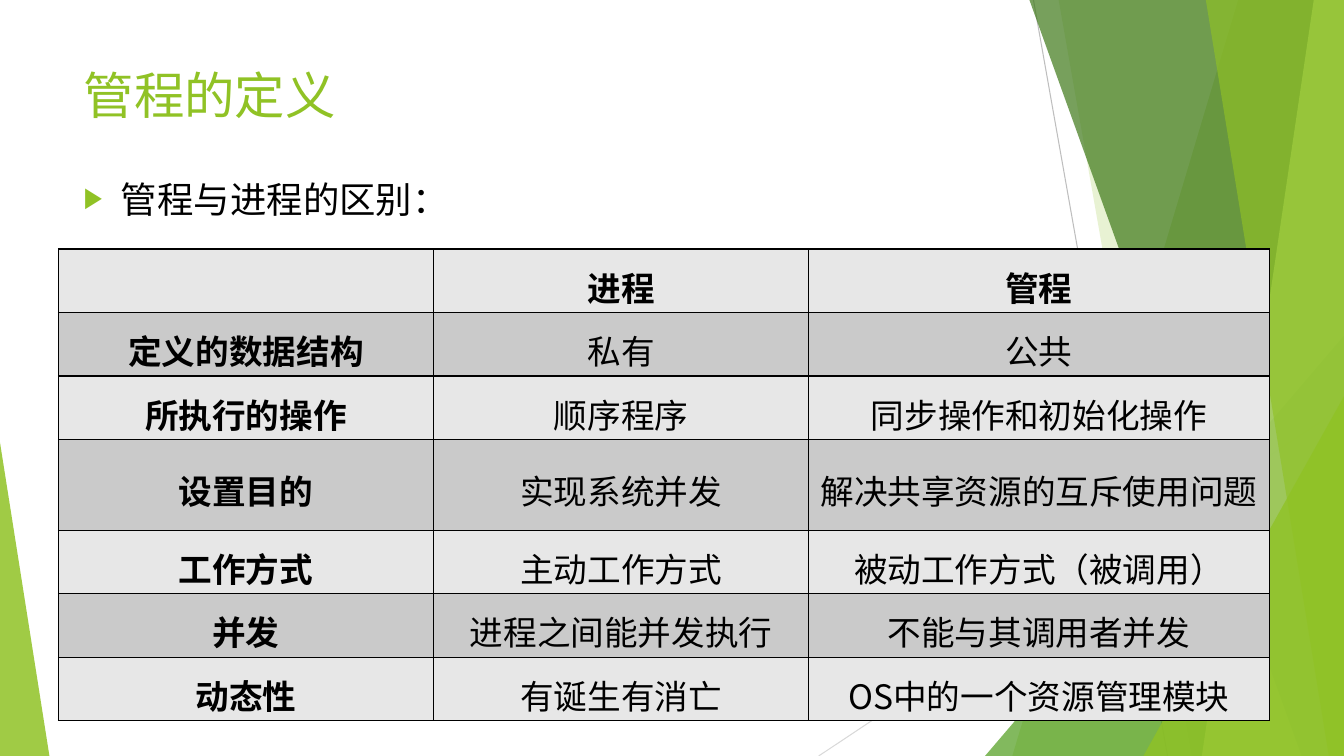
"""Build a slide that compares processes with monitors in a table."""
from dataclasses import dataclass

from lxml.etree import SubElement
from pptx import Presentation
from pptx.dml.color import RGBColor
from pptx.enum.shapes import MSO_CONNECTOR as Connector
from pptx.enum.text import MSO_ANCHOR as Anchor, PP_ALIGN as Align
from pptx.oxml.ns import qn
from pptx.util import Inches, Pt


@dataclass(frozen=True)
class Theme:
    font: str = "Noto Sans CJK SC"
    bullet_font: str = "Courier New"
    accent: str = "90C225"
    text: str = "000000"
    bands: tuple = ("E7E7E7", "CACACA")
    title_size: int = 36
    body_size: int = 26
    table_size: int = 24
    border: float = 1
    hairline: float = 0.75
    line_spacing: float = 0.9


THEME = Theme()
WIDTH, HEIGHT = 13.33, 7.5

TITLE = "管程的定义"
BULLET = "管程与进程的区别："
ROWS = [
    ("", "进程", "管程"),
    ("定义的数据结构", "私有", "公共"),
    ("所执行的操作", "顺序程序", "同步操作和初始化操作"),
    ("设置目的", "实现系统并发", "解决共享资源的互斥使用问题"),
    ("工作方式", "主动工作方式", "被动工作方式（被调用）"),
    ("并发", "进程之间能并发执行", "不能与其调用者并发"),
    ("动态性", "有诞生有消亡", "OS中的一个资源管理模块"),
]
COLUMN_WIDTHS = (3.72, 3.72, 4.57)
TALL_ROW = 3
ROW_HEIGHT, TALL_HEIGHT = 0.63, 0.9
ROW_INSET, TALL_INSET = 0.13, 0.26

HAIRLINES = [
    ((10.25, 0), (11.58, HEIGHT), "BEBEBE"),
    ((WIDTH, 4.03), (8.12, HEIGHT), "D9D9D9"),
]
RIGHT_EDGE = ((WIDTH, HEIGHT), (WIDTH, 0))
FACETS = [
    (((12.28, 0), (10.04, HEIGHT), *RIGHT_EDGE), "90C225", 30),
    (((10.5, 0), (11.82, HEIGHT), *RIGHT_EDGE), "90C225", 20),
    (((WIDTH, 3.33), (9.77, HEIGHT), (WIDTH, HEIGHT)), "539F20", 72),
    (((10.21, 0), (12.91, HEIGHT), *RIGHT_EDGE), "3E7818", 70),
    (((13.03, 0), (11.92, HEIGHT), *RIGHT_EDGE), "C0E374", 70),
    (((11.96, 0), (13.18, HEIGHT), *RIGHT_EDGE), "90C225", 65),
    (((WIDTH, 3.93), (11.34, HEIGHT), (WIDTH, HEIGHT)), "90C225", 80),
    (((0, 4.39), (0, HEIGHT), (0.49, HEIGHT)), "90C225", 85),
]


def color(value):
    return RGBColor.from_string(value)


def add_hairline(slide, start, end, line_color):
    points = [Inches(value) for value in (*start, *end)]
    line = slide.shapes.add_connector(Connector.STRAIGHT, *points)
    line.line.color.rgb = color(line_color)
    line.line.width = Pt(THEME.hairline)
    SubElement(line._element.spPr, qn("a:effectLst"))


def add_facet(slide, points, fill_color, opacity):
    corners = [(Inches(x), Inches(y)) for x, y in points]
    builder = slide.shapes.build_freeform(*corners[0])
    builder.add_line_segments(corners[1:], close=True)
    shape = builder.convert_to_shape()
    shape.shadow.inherit = False
    shape.line.fill.background()
    shape.fill.solid()
    shape.fill.fore_color.rgb = color(fill_color)
    fill = shape._element.spPr.find(qn("a:solidFill"))
    SubElement(fill[0], qn("a:alpha"), val=str(opacity * 1000))


def format_runs(paragraph, size, text_color, bold=False):
    for run in paragraph.runs:
        font = run.font
        font.size, font.bold, font.name = Pt(size), bold, THEME.font
        font.color.rgb = color(text_color)
        SubElement(run._r.get_or_add_rPr(), qn("a:ea"), typeface=THEME.font)


def add_text(slide, box, text, size, text_color):
    frame = slide.shapes.add_textbox(*map(Inches, box)).text_frame
    frame.word_wrap = True
    frame.vertical_anchor = Anchor.TOP
    frame.margin_left = frame.margin_right = frame.margin_bottom = 0
    frame.margin_top = Inches(0.01)
    frame.text = text
    paragraph = frame.paragraphs[0]
    paragraph.line_spacing = THEME.line_spacing
    format_runs(paragraph, size, text_color)
    return paragraph


def add_bullet(paragraph, indent):
    properties = paragraph._p.get_or_add_pPr()
    properties.set("marL", str(Inches(indent)))
    properties.set("indent", str(-Inches(indent)))
    bullet_color = SubElement(properties, qn("a:buClr"))
    SubElement(bullet_color, qn("a:srgbClr"), val=THEME.accent)
    SubElement(properties, qn("a:buSzPct"), val="79000")
    SubElement(properties, qn("a:buFont"), typeface=THEME.bullet_font)
    SubElement(properties, qn("a:buChar"), char="▶")


def add_borders(cell):
    properties = cell._tc.get_or_add_tcPr()
    for side in ("lnL", "lnR", "lnT", "lnB"):
        line = SubElement(properties, qn(f"a:{side}"), w=str(Pt(THEME.border)))
        fill = SubElement(line, qn("a:solidFill"))
        SubElement(fill, qn("a:srgbClr"), val=THEME.text)


def format_cell(cell, text, fill_color, inset, bold):
    add_borders(cell)
    cell.fill.solid()
    cell.fill.fore_color.rgb = color(fill_color)
    cell.margin_left = cell.margin_right = cell.margin_bottom = 0
    cell.margin_top = Inches(inset)
    cell.vertical_anchor = Anchor.TOP
    cell.text_frame.text = text
    paragraph = cell.text_frame.paragraphs[0]
    paragraph.alignment = Align.CENTER
    format_runs(paragraph, THEME.table_size, THEME.text, bold)


def add_comparison(slide, left, top):
    heights = [TALL_HEIGHT if row == TALL_ROW else ROW_HEIGHT for row in range(len(ROWS))]
    box = (left, top, sum(COLUMN_WIDTHS), sum(heights))
    frame = slide.shapes.add_table(len(ROWS), len(COLUMN_WIDTHS), *map(Inches, box))
    table = frame.table
    table.first_row = table.horz_banding = False
    for column, width in zip(table.columns, COLUMN_WIDTHS):
        column.width = Inches(width)
    for row, texts in enumerate(ROWS):
        table.rows[row].height = Inches(heights[row])
        inset = TALL_INSET if row == TALL_ROW else ROW_INSET
        for column, text in enumerate(texts):
            bold = row == 0 or column == 0
            format_cell(table.cell(row, column), text, THEME.bands[row % 2], inset, bold)


def main():
    presentation = Presentation()
    presentation.slide_width = Inches(WIDTH)
    presentation.slide_height = Inches(HEIGHT)
    slide = presentation.slides.add_slide(presentation.slide_layouts[6])
    for hairline in HAIRLINES:
        add_hairline(slide, *hairline)
    for facet in FACETS:
        add_facet(slide, *facet)
    add_text(slide, (0.83, 0.69, 2.53, 0.63), TITLE, THEME.title_size, THEME.accent)
    body = add_text(slide, (0.83, 1.8, 3.65, 0.46), BULLET, THEME.body_size, THEME.text)
    add_bullet(body, 0.37)
    add_comparison(slide, 0.58, 2.47)
    presentation.save("out.pptx")


if __name__ == "__main__":
    main()
